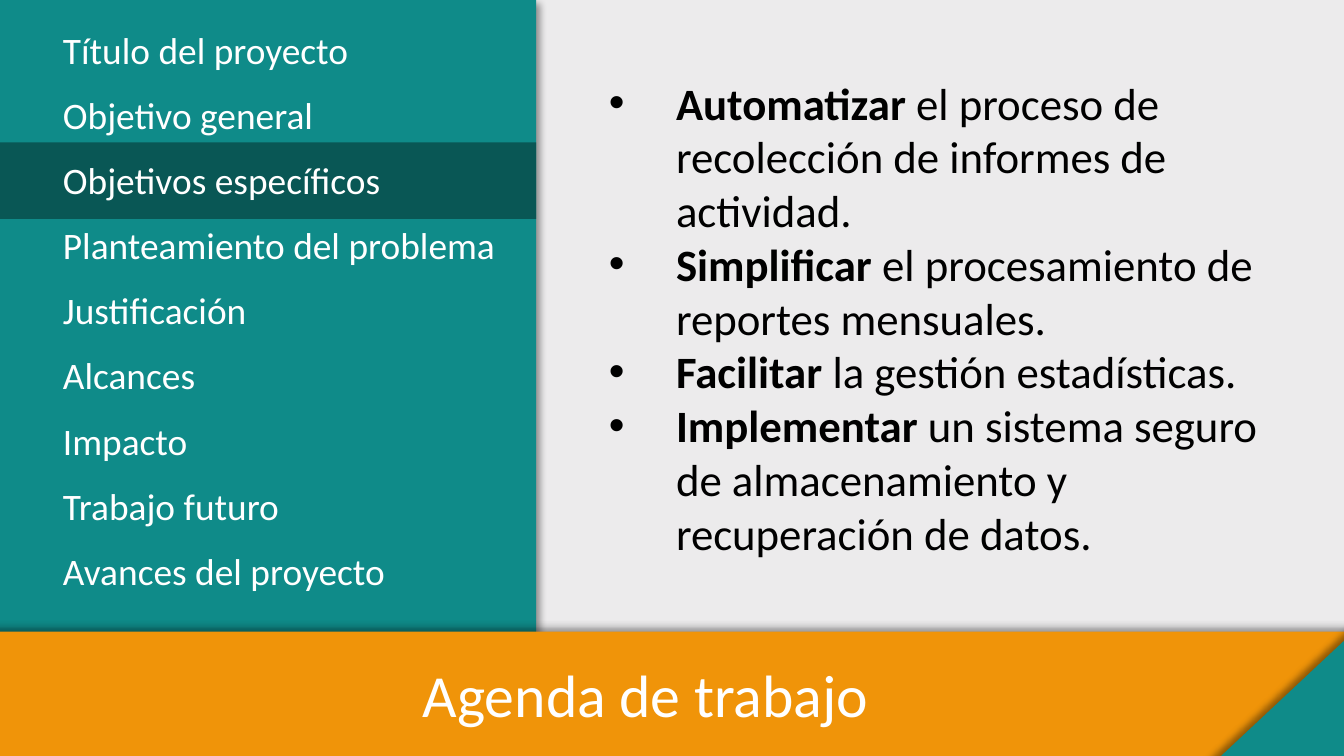
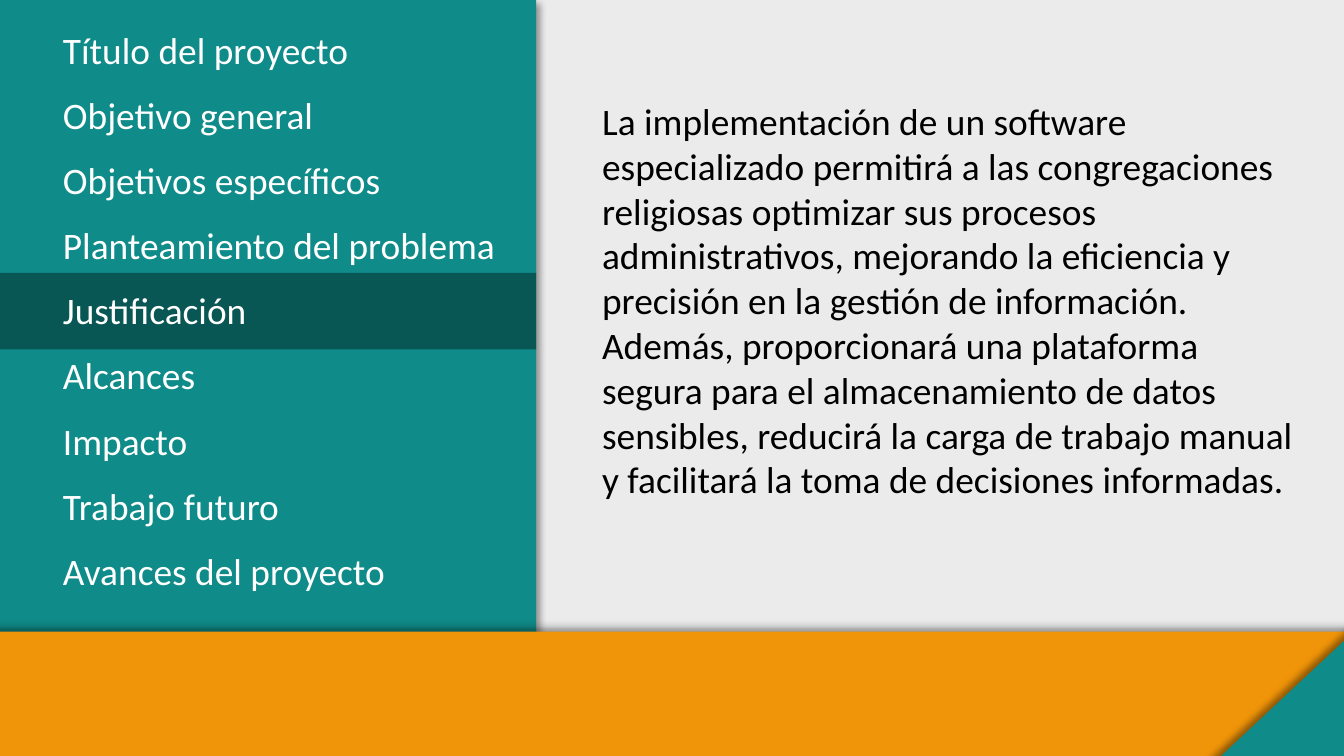
import dataclasses

import lxml.etree
import pptx
import pptx.dml.color
import pptx.enum.shapes
import pptx.enum.text
import pptx.oxml.ns
import pptx.util

Inches = pptx.util.Inches
qn = pptx.oxml.ns.qn


@dataclasses.dataclass(frozen=True)
class Theme:
    """Colours, font and type sizes shared by the slides."""

    background: str = "ECEBEC"
    teal: str = "0F8B89"
    dark_teal: str = "095755"
    orange: str = "F09409"
    white: str = "FFFFFF"
    black: str = "000000"
    font: str = "Calibri"
    title_size: int = 32
    objective_size: int = 24
    text_size: int = 20


THEME = Theme()

MENU = [
    ("Título del proyecto", 2.34),
    ("Objetivo general", 2.08),
    ("Objetivos específicos", 2.59),
    ("Planteamiento del problema", 3.45),
    ("Justificación", 1.59),
    ("Alcances", 1.2),
    ("Impacto", 1.14),
    ("Trabajo futuro", 1.82),
    ("Avances del proyecto", 2.62),
]
MENU_LEFT, MENU_TOP, MENU_STEP = 0.37, 0.15, 0.485
PANEL_WIDTH = 3.99

BAND = [(19.47, 4.7), (21.92, 9.5), (9.7, 12.9), (1.67, 12.9), (-2.51, 4.7)]
CORNER = [(10.19, 4.59), (9.98, 6.87), (8.77, 5.92)]

OBJECTIVES = [
    ("Automatizar", " el proceso de recolección de informes de actividad."),
    ("Simplificar", " el procesamiento de reportes mensuales."),
    ("Facilitar", " la gestión estadísticas."),
    ("Implementar", " un sistema seguro de almacenamiento y recuperación de datos."),
]
JUSTIFICATION = (
    "La implementación de un software especializado permitirá a las congregaciones "
    "religiosas optimizar sus procesos administrativos, mejorando la eficiencia y "
    "precisión en la gestión de información. Además, proporcionará una plataforma "
    "segura para el almacenamiento de datos sensibles, reducirá la carga de trabajo "
    "manual y facilitará la toma de decisiones informadas."
)


def rgb(color):
    """Turn a hex string into a colour value."""
    return pptx.dml.color.RGBColor.from_string(color)


def paint(shape, color):
    """Fill a shape without line or shadow."""
    shape.fill.solid()
    shape.fill.fore_color.rgb = rgb(color)
    shape.line.fill.background()
    shape.shadow.inherit = False


def cast_shadow(shape, degrees):
    """Give a painted shape a soft shadow in one direction."""
    effects = shape.element.spPr.find(qn("a:effectLst"))
    shadow = lxml.etree.SubElement(
        effects,
        qn("a:outerShdw"),
        blurRad=str(pptx.util.Pt(4)),
        dist=str(pptx.util.Pt(3)),
        dir=str(degrees * 60000),
        rotWithShape="0",
    )
    color = lxml.etree.SubElement(shadow, qn("a:srgbClr"), val=THEME.black)
    lxml.etree.SubElement(color, qn("a:alpha"), val="40000")


def add_rectangle(page, top, height, color):
    """Add a rectangle as wide as the menu panel."""
    shape = page.shapes.add_shape(
        pptx.enum.shapes.MSO_SHAPE.RECTANGLE,
        0, Inches(top), Inches(PANEL_WIDTH), Inches(height),
    )
    paint(shape, color)
    return shape


def add_outline(page, points, color):
    """Add a shadowed polygon from points in inches."""
    start, *others = [(Inches(x), Inches(y)) for x, y in points]
    builder = page.shapes.build_freeform(*start)
    builder.add_line_segments(others, close=True)
    shape = builder.convert_to_shape()
    paint(shape, color)
    cast_shadow(shape, 225)


def add_span(para, text, size, color, bold=False):
    """Append one formatted run to a paragraph."""
    span = para.add_run()
    span.text = text
    span.font.name = THEME.font
    span.font.size = pptx.util.Pt(size)
    span.font.color.rgb = rgb(color)
    span.font.bold = bold


def place(box, left, top, width, height):
    """Move a placeholder to the front and set its bounds in inches."""
    box.left, box.top = Inches(left), Inches(top)
    box.width, box.height = Inches(width), Inches(height)
    box.text_frame.auto_size = pptx.enum.text.MSO_AUTO_SIZE.NONE
    box.element.getparent().append(box.element)


def set_bullet(para, margin, indent, bullet=None):
    """Set the indents of a paragraph and its bullet, if any."""
    properties = para._p.get_or_add_pPr()
    properties.set("marL", str(Inches(margin)))
    properties.set("indent", str(Inches(indent)))
    if bullet:
        lxml.etree.SubElement(properties, qn("a:buFont"), typeface="Arial")
        lxml.etree.SubElement(properties, qn("a:buChar"), char=bullet)
    else:
        lxml.etree.SubElement(properties, qn("a:buNone"))
    para.space_before = pptx.util.Pt(0)


def add_menu(page, active):
    """Add the agenda entries with the active one highlighted."""
    add_rectangle(page, MENU_TOP + active * MENU_STEP - 0.06, 0.57, THEME.dark_teal)
    for index, (label, width) in enumerate(MENU):
        box = page.shapes.add_textbox(
            Inches(MENU_LEFT), Inches(MENU_TOP + index * MENU_STEP),
            Inches(width), Inches(0.44),
        )
        box.text_frame.word_wrap = False
        add_span(box.text_frame.paragraphs[0], label, THEME.text_size, THEME.white)


def add_page(deck, active):
    """Add a slide with the panel, the bottom band and the menu."""
    page = deck.slides.add_slide(deck.slide_layouts[1])
    page.background.fill.solid()
    page.background.fill.fore_color.rgb = rgb(THEME.background)
    cast_shadow(add_rectangle(page, 0, 7.02, THEME.teal), 45)
    add_outline(page, BAND, THEME.orange)
    add_outline(page, CORNER, THEME.teal)
    add_menu(page, active)
    return page


def add_title(page, text):
    """Write the slide title on the bottom band."""
    title = page.shapes.title
    place(title, 3.03, 4.84, 3.55, 0.64)
    title.text_frame.word_wrap = False
    add_span(title.text_frame.paragraphs[0], text, THEME.title_size, THEME.white)


def add_objectives(page):
    """Write the bulleted objectives with bold opening verbs."""
    body = page.placeholders[1]
    place(body, 4.43, 0.51, 5.2, 3.74)
    frame = body.text_frame
    for index, (verb, rest) in enumerate(OBJECTIVES):
        para = frame.add_paragraph() if index else frame.paragraphs[0]
        set_bullet(para, 0.5, -0.5, "•")
        add_span(para, verb, THEME.objective_size, THEME.black, bold=True)
        add_span(para, rest, THEME.objective_size, THEME.black)


def add_justification(page):
    """Write the justification as one plain paragraph."""
    body = page.placeholders[1]
    place(body, 4.35, 0.63, 5.47, 3.48)
    frame = body.text_frame
    frame.margin_left = frame.margin_right = Inches(0.1)
    frame.margin_top = frame.margin_bottom = Inches(0.1)
    para = frame.paragraphs[0]
    set_bullet(para, 0.03, 0)
    add_span(para, JUSTIFICATION, THEME.text_size, THEME.black)


def main():
    """Build and save the deck."""
    deck = pptx.Presentation()
    deck.slide_width = Inches(10)
    deck.slide_height = deck.slide_width * 9 // 16

    page = add_page(deck, active=2)
    add_objectives(page)
    add_title(page, "Agenda de trabajo")

    page = add_page(deck, active=4)
    add_justification(page)
    title = page.shapes.title.element
    title.getparent().remove(title)

    deck.save("out.pptx")


if __name__ == "__main__":
    main()
